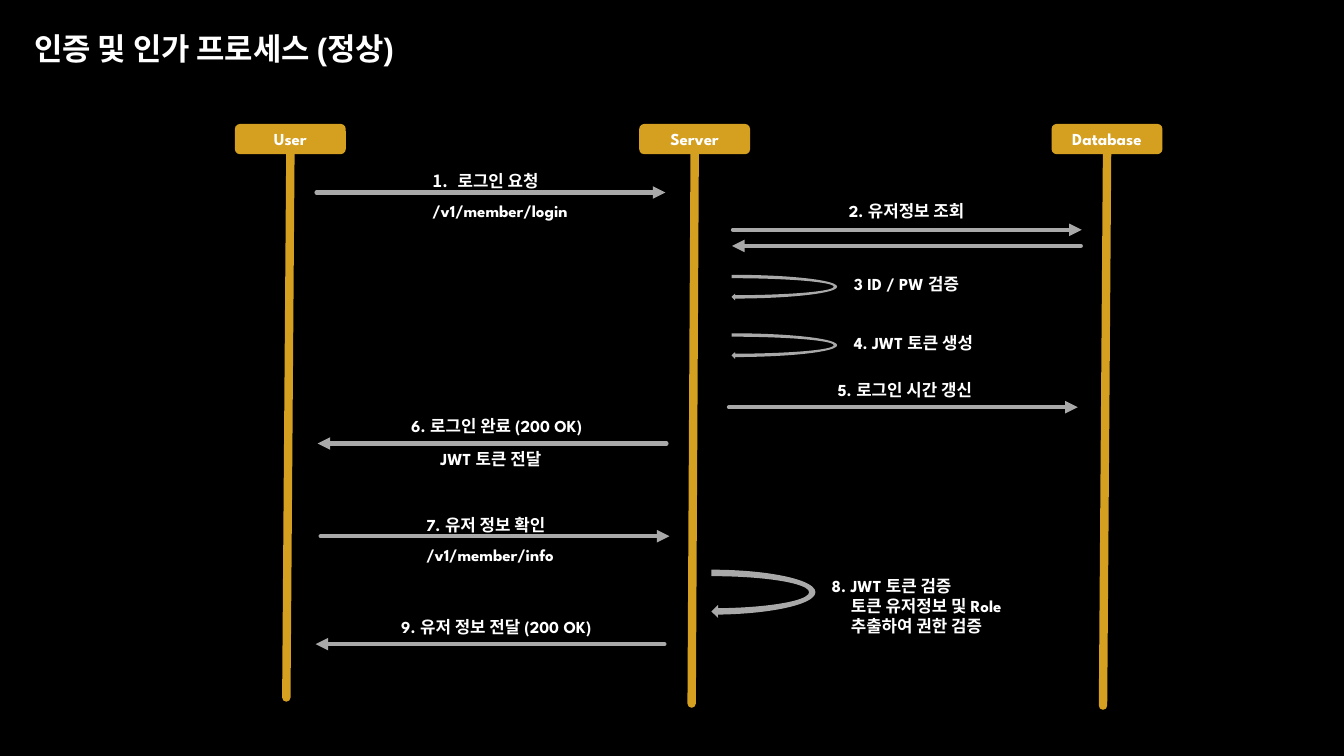
import pptx
import pptx.util
import pptx.dml.color
import pptx.enum.shapes
import pptx.enum.text
import pptx.oxml.ns
from lxml import etree

Inches = pptx.util.Inches
Pt = pptx.util.Pt
SHAPE = pptx.enum.shapes.MSO_SHAPE
ALIGN = pptx.enum.text.PP_ALIGN
qn = pptx.oxml.ns.qn

GOLD, GRAY, WHITE, BLACK = "D59F20", "A9A9A9", "FFFFFF", "000000"
FONT = "League Spartan"
TITLE = "인증 및 인가 프로세스 (정상)"

# name, box left, foot x, foot y
ACTORS = [
    ("User", 2.33, 2.84, 6.92),
    ("Server", 6.34, 6.86, 6.98),
    ("Database", 10.43, 10.94, 7.0),
]
# start x, y, direction
ARROWS = [
    (3.14, 1.91, 1),
    (7.27, 2.28, 1),
    (10.72, 2.44, -1),
    (7.23, 4.04, 1),
    (6.61, 4.4, -1),
    (3.18, 5.32, 1),
    (6.59, 6.39, -1),
]
# left, top, width of the unturned shape
LOOPS = [(7.12, 1.78, 0.27), (7.12, 2.36, 0.27), (6.8, 4.81, 0.51)]
# box, line spacing, lines of (text, indent, numbered)
NOTES = [
    ((4.19, 1.54, 1.72, 0.67), 1.5,
     [("로그인 요청", 0.25, True), ("/v1/member/login", 0, False)]),
    ((8.32, 1.94, 1.45, 0.3), 1, [("2. 유저정보 조회", 0, False)]),
    ((8.37, 2.67, 1.31, 0.3), 1, [("3 ID / PW 검증", 0, False)]),
    ((8.37, 3.25, 1.46, 0.3), 1, [("4. JWT 토큰 생성", 0, False)]),
    ((8.21, 3.72, 1.66, 0.3), 1, [("5. 로그인 시간 갱신", 0, False)]),
    ((3.98, 4.08, 2.03, 0.3), 1, [("6. 로그인 완료 (200 OK)", 0, False)]),
    ((4.27, 4.4, 1.27, 0.3), 1, [("JWT 토큰 전달", 0, False)]),
    ((4.13, 4.96, 1.61, 0.67), 1.5,
     [("7. 유저 정보 확인", 0, False), ("/v1/member/info", 0, False)]),
    ((8.15, 5.66, 2.11, 0.71), 1,
     [("8. JWT 토큰 검증", 0, False), ("토큰 유저정보 및 Role", 0.19, False),
      ("추출하여 권한 검증", 0.19, False)]),
    ((3.88, 6.07, 2.25, 0.3), 1, [("9. 유저 정보 전달 (200 OK)", 0, False)]),
]
SPAN = 3.46
LOOP_TALL = 2.13
BOX_TOP, BOX_WIDE, BOX_TALL = 1.23, 1.1, 0.3


def paint(item, color):
    item.rgb = pptx.dml.color.RGBColor.from_string(color)


def write(para, text, size=12, font=FONT):
    run = para.add_run()
    run.text = text
    run.font.size = Pt(size)
    run.font.name = font
    run.font.bold = True
    paint(run.font.color, WHITE)


def fit(frame):
    frame.word_wrap = False
    frame.auto_size = pptx.enum.text.MSO_AUTO_SIZE.SHAPE_TO_FIT_TEXT
    frame.vertical_anchor = pptx.enum.text.MSO_ANCHOR.TOP


def place(item, *box):
    item.left, item.top, item.width, item.height = map(Inches, box)


def add_line(slide, start, end, color, width, head=False):
    line = slide.shapes.add_connector(
        pptx.enum.shapes.MSO_CONNECTOR.STRAIGHT, *map(Inches, start + end))
    paint(line.line.color, color)
    line.line.width = Pt(width)
    props = line.line._get_or_add_ln()
    props.set("cap", "rnd")
    etree.SubElement(props, qn("a:round"))
    if head:
        etree.SubElement(props, qn("a:tailEnd"), type="triangle")
    etree.SubElement(line._element.spPr, qn("a:effectLst"))
    return line


def add_shape(slide, kind, box, color):
    shape = slide.shapes.add_shape(kind, *map(Inches, box))
    shape.shadow.inherit = False
    shape.fill.solid()
    paint(shape.fill.fore_color, color)
    shape.line.fill.background()
    return shape


def add_actor(slide, name, left, foot, base):
    box = add_shape(slide, SHAPE.ROUNDED_RECTANGLE,
                    (left, BOX_TOP, BOX_WIDE, BOX_TALL), GOLD)
    para = box.text_frame.paragraphs[0]
    para.alignment = ALIGN.CENTER
    write(para, name)
    top = (left + BOX_WIDE / 2, BOX_TOP + BOX_TALL)
    add_line(slide, top, (foot, base), GOLD, 6).begin_connect(box, 2)


def add_note(slide, box, space, lines):
    frame = slide.shapes.add_textbox(*map(Inches, box)).text_frame
    fit(frame)
    for i, (text, indent, number) in enumerate(lines):
        para = frame.add_paragraph() if i else frame.paragraphs[0]
        para.line_spacing = space
        props = para._p.get_or_add_pPr()
        if indent:
            props.set("marL", str(Inches(indent)))
        if number:
            props.set("indent", str(-Inches(indent)))
            etree.SubElement(props, qn("a:buFont"), typeface=FONT)
            etree.SubElement(props, qn("a:buAutoNum"), type="arabicPeriod")
        write(para, text)


def main():
    deck = pptx.Presentation()
    deck.slide_width, deck.slide_height = Inches(13.33), Inches(7.5)
    slide = deck.slides.add_slide(deck.slide_layouts[5])
    slide.background.fill.solid()
    paint(slide.background.fill.fore_color, BLACK)

    title = slide.shapes.title
    place(title, 0.24, 0.24, 4.25, 0.47)
    fit(title.text_frame)
    para = title.text_frame.paragraphs[0]
    para.alignment = ALIGN.LEFT
    write(para, TITLE, 22, "Arial")

    for actor in ACTORS:
        add_actor(slide, *actor)
    for x, y, way in ARROWS:
        add_line(slide, (x, y), (x + way * SPAN, y), GRAY, 3, True)
    for left, top, width in LOOPS:
        loop = add_shape(slide, SHAPE.CIRCULAR_ARROW,
                         (left, top, width, LOOP_TALL), GRAY)
        loop.rotation = 90
    for note in NOTES:
        add_note(slide, *note)
    deck.save("out.pptx")


if __name__ == "__main__":
    main()
